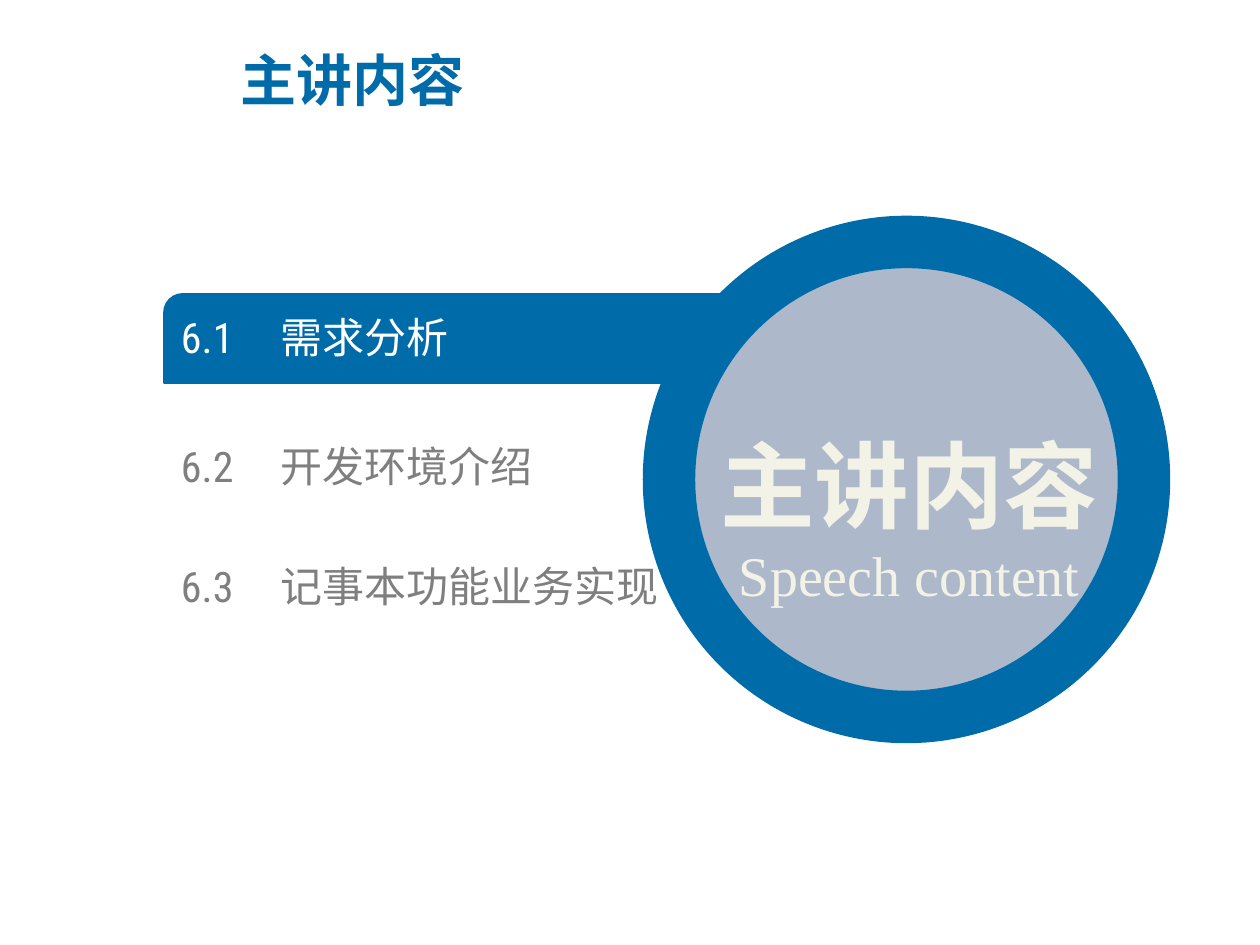
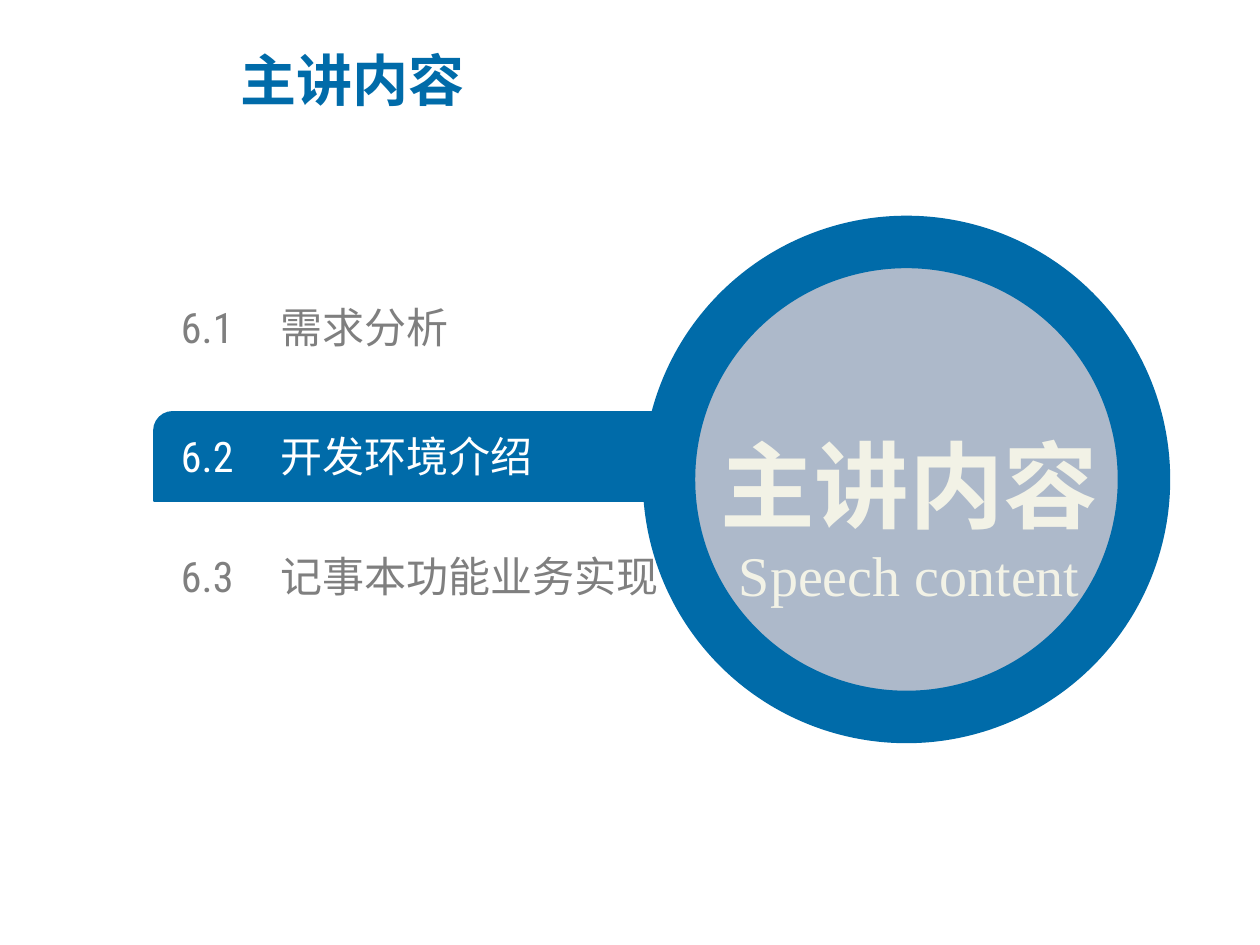
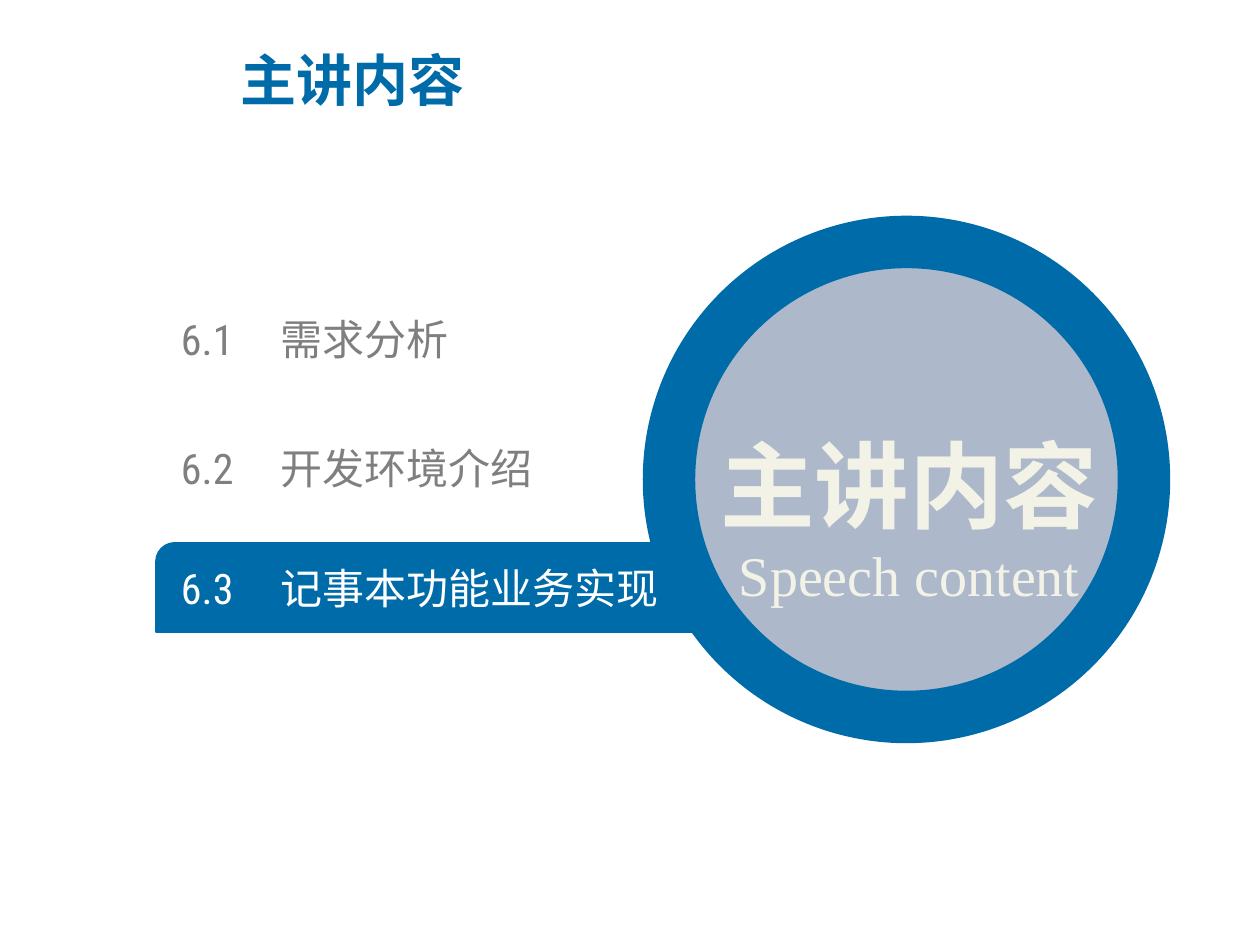
from lxml import etree
from pptx import Presentation
from pptx.dml.color import RGBColor
from pptx.enum.shapes import MSO_SHAPE
from pptx.enum.text import MSO_ANCHOR, MSO_AUTO_SIZE, PP_ALIGN
from pptx.oxml.ns import qn
from pptx.util import Pt

PX = 914400 / 126
BAR = MSO_SHAPE.ROUND_2_DIAG_RECTANGLE
CIRCLE = MSO_SHAPE.OVAL
MIDDLE = MSO_ANCHOR.MIDDLE
GROW = MSO_AUTO_SIZE.SHAPE_TO_FIT_TEXT
CENTER = PP_ALIGN.CENTER

BLUE, GREY_BLUE, CREAM = "006BA9", "ADB9CA", "F2F2E6"
WHITE, GREY = "FFFFFF", "7F7F7F"
CJK, NUMBERS, SERIF = "Noto Sans CJK SC", "Roboto Condensed", "Times New Roman"

TITLE = "主讲内容"
TOPICS = [("6.1", "需求分析", 0), ("6.2", "开发环境介绍", 129), ("6.3", "记事本功能业务实现", 249)]
TAB = 100
# top of the topic list, left and top of the bar behind the current topic
SLIDES = [(312, 164, 294), (302, 154, 412), (314, 156, 543)]


def add_filled(s, kind, box, fill, line_width):
    sp = s.shapes.add_shape(kind, *[round(v * PX) for v in box])
    sp.shadow.inherit = False
    sp.fill.solid()
    sp.fill.fore_color.rgb = RGBColor.from_string(fill)
    sp.line.color.rgb = RGBColor.from_string(BLUE)
    sp.line.width = Pt(line_width)
    return sp


def add_text(s, box, lines):
    """Add a text box; each line is (text, size, font, colour, bold)."""
    tf = s.shapes.add_textbox(*[round(v * PX) for v in box]).text_frame
    tf.word_wrap = True
    tf.vertical_anchor = MIDDLE
    for i, (text, size, font, color, bold) in enumerate(lines):
        p = tf.add_paragraph() if i else tf.paragraphs[0]
        p.add_run().text = text
        p.font.size = Pt(size)
        p.font.bold = bold
        p.font.name = font
        p.font.color.rgb = RGBColor.from_string(color)
        east_asian = etree.SubElement(p.font._element, qn("a:ea"))
        east_asian.set("typeface", CJK)
    return tf


prs = Presentation()
prs.slide_width = round(1260 * PX)
prs.slide_height = round(945 * PX)

for current, (list_top, bar_left, bar_top) in enumerate(SLIDES):
    s = prs.slides.add_slide(prs.slide_layouts[6])

    bar = add_filled(s, BAR, (bar_left, bar_top, 814, 89), BLUE, 1)
    bar.adjustments[0] = 0.21

    for i, (number, topic, offset) in enumerate(TOPICS):
        color = WHITE if i == current else GREY
        tf = add_text(s, (181, list_top + offset, 528, 50),
                      [(f"{number}\t{topic}", 24, NUMBERS, color, False)])
        tf.margin_left = tf.margin_top = tf.margin_right = tf.margin_bottom = 0
        tf.auto_size = GROW
        tabs = etree.Element(qn("a:tabLst"))
        etree.SubElement(tabs, qn("a:tab"), pos=str(round(TAB * PX)), algn="l")
        tf.paragraphs[0].font._element.addprevious(tabs)

    add_filled(s, CIRCLE, (669, 242, 475, 475), GREY_BLUE, 30)
    tf = add_text(s, (664, 363, 491, 252),
                  [(TITLE, 54, CJK, CREAM, True),
                   ("Speech content", 32, SERIF, CREAM, False)])
    tf.auto_size = GROW
    tf.paragraphs[0].line_spacing = 1.5
    for p in tf.paragraphs:
        p.alignment = CENTER

    add_text(s, (228, 26, 709, 106), [(TITLE, 32, CJK, BLUE, True)])

prs.save("out.pptx")
